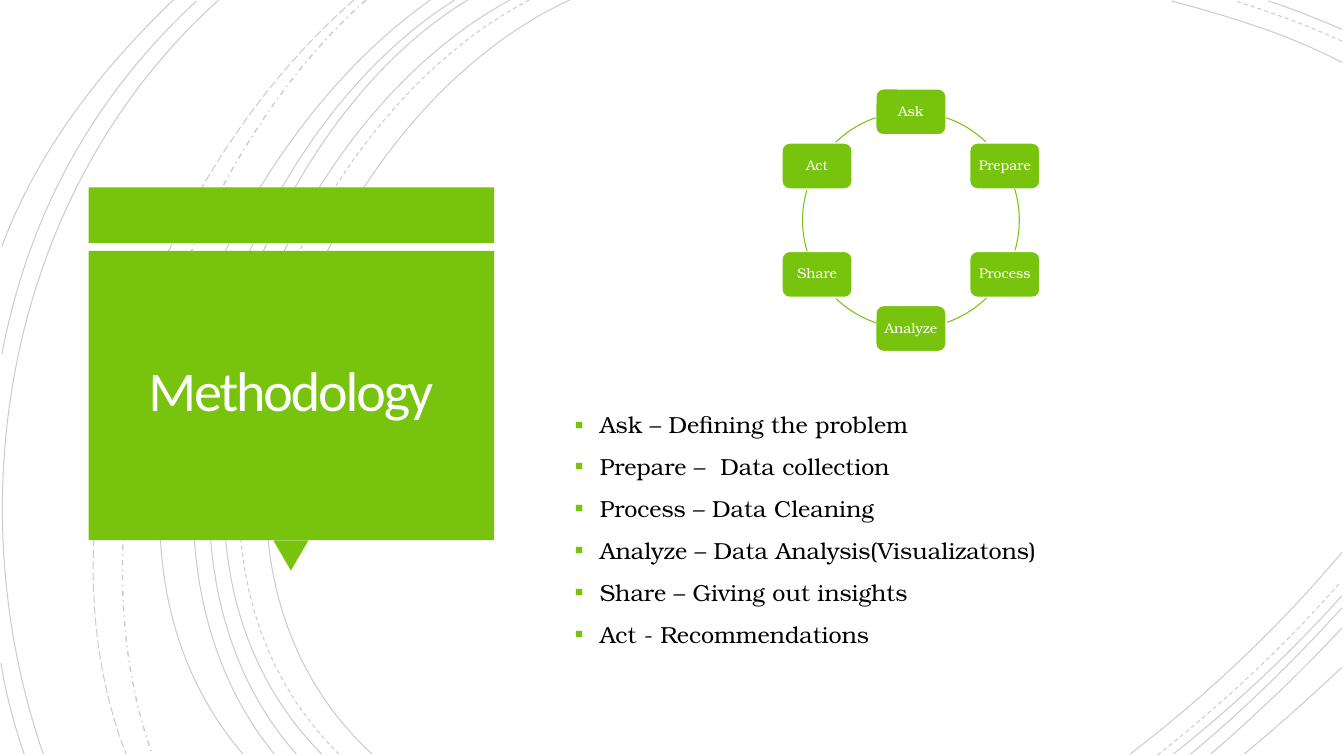
import math

import lxml.etree
import pptx
import pptx.dml.color
import pptx.enum.dml
import pptx.enum.shapes
import pptx.enum.text
import pptx.oxml.ns
import pptx.util

Inches = pptx.util.Inches
Pt = pptx.util.Pt
qn = pptx.oxml.ns.qn
Shape = pptx.enum.shapes.MSO_SHAPE
Dash = pptx.enum.dml.MSO_LINE
Align = pptx.enum.text.PP_ALIGN
Anchor = pptx.enum.text.MSO_ANCHOR

COLORS = {"green": "78C30D", "white": "FFFFFF", "title": "FFFEFF", "black": "000000"}
SERIF = "TeX Gyre Bonum"
STEPS = ["Ask", "Prepare", "Process", "Analyze", "Share", "Act"]
POINTS = [
    "Ask – Defining the problem",
    "Prepare –  Data collection",
    "Process – Data Cleaning",
    "Analyze – Data Analysis(Visualizatons)",
    "Share – Giving out insights",
    "Act - Recommendations",
]
# Each curve: start, two control points and end, as x, y pairs in inches
CURVES = {
    Dash.SOLID: [
        (5.65, 0, 3.15, 1.15, 1.43, 5.4, 3.69, 7.48),
        (13.31, 0.62, 12.78, 0.34, 12.18, 0.16, 11.62, 0.01),
        (11.21, 7.48, 11.97, 6.9, 12.69, 6.22, 13.31, 5.48),
        (5.06, 0, 2.7, 1.27, 1.1, 5.37, 3.19, 7.48),
        (13.31, 0.29, 13.07, 0.19, 12.83, 0.09, 12.58, 0.01),
        (11.64, 7.48, 12.23, 7.01, 12.8, 6.48, 13.31, 5.91),
        (4.64, 0, 2.44, 1.33, 1.1, 5.41, 2.94, 7.48),
        (11.81, 7.48, 12.34, 7.04, 12.84, 6.55, 13.31, 6.03),
        (4.51, 0, 2.31, 1.38, 0.97, 5.33, 2.72, 7.48),
        (12.01, 7.48, 12.46, 7.09, 12.9, 6.67, 13.31, 6.23),
        (4.27, 0, 2.17, 1.47, 0.53, 5.29, 2.41, 7.48),
        (12.34, 7.48, 12.67, 7.21, 12.99, 6.92, 13.31, 6.62),
        (2.17, 0, 0.11, 1.85, -0.46, 4.9, 0.43, 7.48),
        (1.95, 0.01, 0.92, 0.96, 0.28, 2.14, 0.02, 3.51),
        (0.01, 6.58, 0.06, 6.89, 0.14, 7.19, 0.24, 7.48),
        (1.72, 0, 1, 0.69, 0.37, 1.5, 0.02, 2.44),
    ],
    Dash.DASH: [
        (5.25, 0, 2.85, 1.25, 1.23, 5.37, 3.36, 7.48),
        (13.31, 0.41, 12.97, 0.25, 12.6, 0.12, 12.25, 0.01),
        (11.48, 7.49, 12.13, 6.98, 12.75, 6.4, 13.3, 5.77),
    ],
    Dash.DASH_DOT: [(3.63, 0, 1.76, 1.66, 0.65, 5.09, 1.51, 7.48)],
    Dash.LONG_DASH: [(3.51, 0, 1.57, 1.69, 0.29, 4.99, 1.25, 7.48)],
}


def rgb(name):
    return pptx.dml.color.RGBColor.from_string(COLORS[name])


def place(shape, left, top, width, height):
    shape.left, shape.top = Inches(left), Inches(top)
    shape.width, shape.height = Inches(width), Inches(height)


def style(run, font, size, color):
    run.font.name, run.font.size = font, Pt(size)
    run.font.color.rgb = rgb(color)


def inset(frame, gap):
    frame.margin_left = frame.margin_right = Inches(gap)
    frame.margin_top = frame.margin_bottom = Inches(gap)


def block(slide, kind, left, top, width, height):
    """Add a plain green shape."""
    shape = slide.shapes.add_shape(
        kind, Inches(left), Inches(top), Inches(width), Inches(height))
    shape.shadow.inherit = False
    shape.fill.solid()
    shape.fill.fore_color.rgb = rgb("green")
    shape.line.fill.background()
    return shape


def bend(shape):
    """Turn the three straight segments of an outline into one cubic curve."""
    lines = list(shape.element.iter(qn("a:lnTo")))
    trace = lines[0].getparent()
    cubic = lxml.etree.SubElement(trace, qn("a:cubicBezTo"))
    for line in lines:
        cubic.append(line[0])
        trace.remove(line)


def draw_curve(slide, curve, dash):
    spots = [(Inches(x), Inches(y)) for x, y in zip(curve[::2], curve[1::2])]
    pen = slide.shapes.build_freeform(*spots[0])
    pen.add_line_segments(spots[1:], close=False)
    shape = pen.convert_to_shape()
    bend(shape)
    shape.shadow.inherit = False
    shape.fill.background()
    shape.line.width = Pt(1 if dash == Dash.DASH_DOT else 0.75)
    shape.line.color.rgb = rgb("black")
    shape.line.dash_style = dash
    ink = shape.element.spPr.find(qn("a:ln")).find(".//" + qn("a:srgbClr"))
    lxml.etree.SubElement(ink, qn("a:alpha")).set("val", "20000")


def draw_backdrop(slide):
    for dash, curves in CURVES.items():
        for curve in curves:
            draw_curve(slide, curve, dash)


def draw_title(slide, left, top, width):
    block(slide, Shape.RECTANGLE, left, top, width, 0.55)
    tip = block(slide, Shape.ISOSCELES_TRIANGLE,
                left + width / 2 - 0.18, top + 3.5, 0.35, 0.3)
    tip.rotation = 180
    block(slide, Shape.RECTANGLE, left, top + 0.63, width, 2.87)
    title = slide.shapes.title
    place(title, left + 0.09, top + 0.7, width - 0.19, 2.7)
    title.element.getparent().append(title.element)
    frame = title.text_frame
    frame.text = "Methodology"
    frame.auto_size = pptx.enum.text.MSO_AUTO_SIZE.NONE
    frame.vertical_anchor = Anchor.MIDDLE
    inset(frame, 0.1)
    para = frame.paragraphs[0]
    para.alignment, para.line_spacing = Align.CENTER, 0.85
    style(para.runs[0], "Calibri", 40, "title")
    para.runs[0].font._element.set("spc", "-150")


def draw_cycle(slide, left, top, size):
    """Draw the steps clockwise on a ring that fits the given square."""
    wide, high, radius = 0.7, 0.46, size / 2
    turn = 360 / len(STEPS)
    gaps = [(19, 44), (13.3, 46.7), (16, 41)]
    for i, step in enumerate(STEPS):
        angle = i * turn - 90
        x = left + radius * (1 + math.cos(math.radians(angle)))
        y = top + radius * (1 + math.sin(math.radians(angle)))
        node = block(slide, Shape.ROUNDED_RECTANGLE,
                     x - wide / 2, y - high / 2, wide, high)
        node.line.color.rgb = rgb("white")
        node.line.width = Pt(1.25)
        frame = node.text_frame
        frame.text = step
        frame.word_wrap = True
        frame.vertical_anchor = Anchor.MIDDLE
        inset(frame, 0.04)
        para = frame.paragraphs[0]
        para.alignment, para.line_spacing = Align.CENTER, 0.9
        style(para.runs[0], SERIF, 10, "white")

        arc = block(slide, Shape.ARC, left, top, size, size)
        arc.fill.background()
        arc.line.color.rgb = rgb("green")
        arc.line.width = Pt(0.75)
        for k, gap in enumerate(gaps[i % 3]):
            # Arc angles are stored in 60000ths of a degree
            arc.adjustments[k] = (angle + gap) % 360 * 0.6


def add_bullet(para):
    props = para._p.get_or_add_pPr()
    props.set("marL", str(Inches(0.25)))
    props.set("indent", str(Inches(-0.25)))
    tint = lxml.etree.SubElement(props, qn("a:buClr"))
    lxml.etree.SubElement(tint, qn("a:srgbClr")).set("val", COLORS["green"])
    lxml.etree.SubElement(props, qn("a:buSzPct")).set("val", "110000")
    lxml.etree.SubElement(props, qn("a:buFont")).set("typeface", "Arial")
    lxml.etree.SubElement(props, qn("a:buChar")).set("char", "▪")


def fill_list(slide, left, top, width, height):
    body = slide.placeholders[1]
    place(body, left, top, width, height)
    frame = body.text_frame
    frame.text = "\n".join(POINTS)
    frame.auto_size = pptx.enum.text.MSO_AUTO_SIZE.NONE
    frame.vertical_anchor = Anchor.TOP
    for para in frame.paragraphs:
        para.space_before, para.line_spacing = Pt(10), 1.0
        add_bullet(para)
        style(para.runs[0], SERIF, 16.6, "black")


def main():
    deck = pptx.Presentation()
    deck.slide_width, deck.slide_height = Inches(13.33), Inches(7.5)
    slide = deck.slides.add_slide(deck.slide_layouts[1])
    draw_backdrop(slide)
    draw_title(slide, 0.88, 1.86, 4.02)
    draw_cycle(slide, 7.96, 1.11, 2.15)
    fill_list(slide, 5.6, 4.02, 6.86, 2.61)
    deck.save("out.pptx")


if __name__ == "__main__":
    main()
